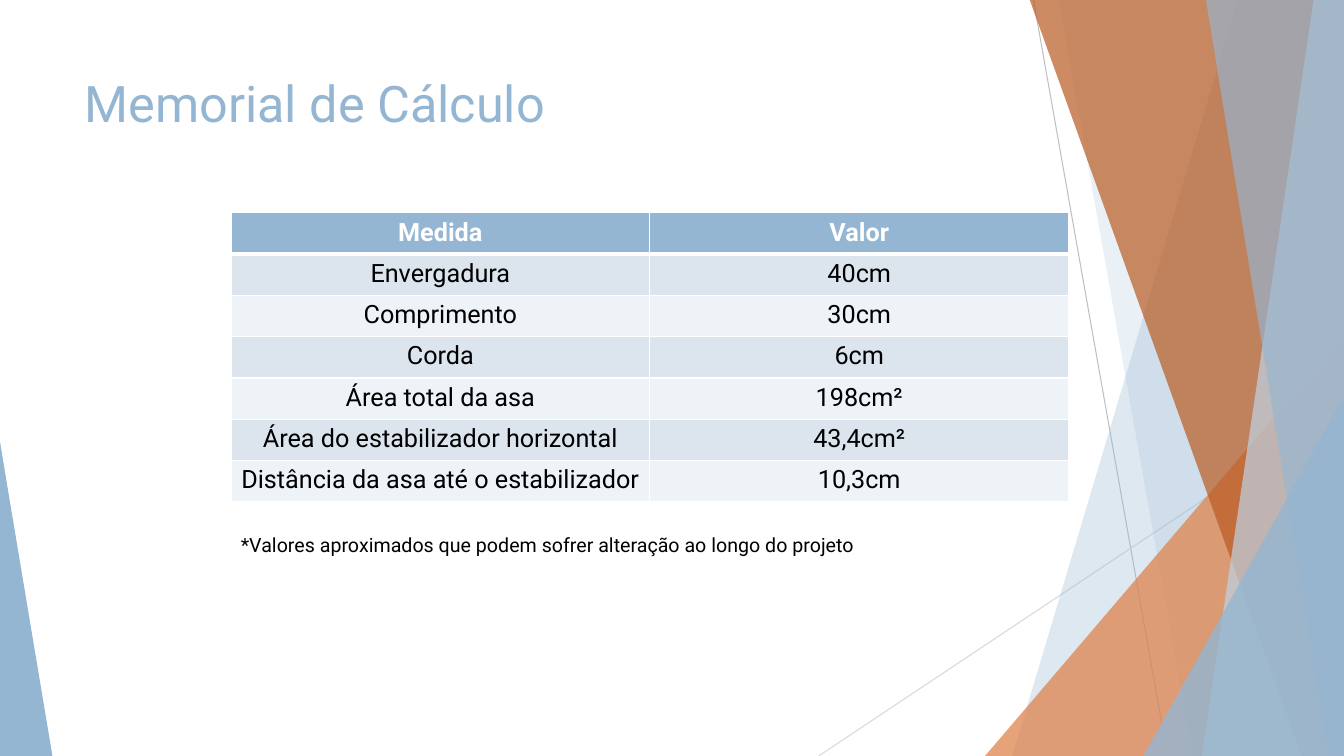
from dataclasses import dataclass

from lxml import etree
from pptx import Presentation
from pptx import util as u
from pptx.dml.color import RGBColor
from pptx.enum import shapes, text
from pptx.oxml import ns


@dataclass(frozen=True)
class Theme:
    font: str = "Roboto"
    blue: str = "94B6D2"
    pale_blue: str = "BFD3E4"
    orange: str = "DD8047"
    rust: str = "B95B22"
    row_dark: str = "DCE5EE"
    row_light: str = "EEF3F7"
    white: str = "FFFFFF"
    black: str = "000000"
    line_dark: str = "BFBFBF"
    line_light: str = "D9D9D9"
    title_size: int = 36
    table_size: int = 18
    note_size: int = 14


THEME = Theme()
WIDTH, HEIGHT = 13.33, 7.5
BAND_TOP = -0.01

MEASURES = [
    ("Medida", "Valor"),
    ("Envergadura", "40cm"),
    ("Comprimento", "30cm"),
    ("Corda", "6cm"),
    ("Área total da asa", "198cm²"),
    ("Área do estabilizador horizontal", "43,4cm²"),
    ("Distância da asa até o estabilizador", "10,3cm"),
]


def rgb(color):
    return RGBColor.from_string(color)


def add_span(para, words, size, color, bold=False):
    span = para.add_run()
    span.text = words
    span.font.name = THEME.font
    span.font.size = u.Pt(size)
    span.font.bold = bold
    span.font.color.rgb = rgb(color)


def paint(shape, color, opacity):
    """Flat fill with the given opacity in percent, no outline or shadow."""
    shape.shadow.inherit = False
    shape.line.fill.background()
    shape.fill.solid()
    shape.fill.fore_color.rgb = rgb(color)
    if opacity < 100:
        solid = shape.fill._xPr.find(ns.qn("a:solidFill"))
        alpha = etree.SubElement(solid[0], ns.qn("a:alpha"))
        alpha.set("val", str(opacity * 1000))


def add_thin_line(page, start, end, color):
    points = [u.Inches(value) for value in (*start, *end)]
    line = page.shapes.add_connector(shapes.MSO_CONNECTOR.STRAIGHT, *points)
    line.line.color.rgb = rgb(color)
    line.line.width = u.Pt(0.75)
    etree.SubElement(line._element.spPr, ns.qn("a:effectLst"))


def add_band(page, top_x, bottom_x, color, opacity):
    """Slanted left side; the rest runs to the right edge of the page."""
    corners = [(WIDTH, BAND_TOP), (WIDTH, HEIGHT), (bottom_x, HEIGHT)]
    outline = page.shapes.build_freeform(u.Inches(top_x), u.Inches(BAND_TOP))
    outline.add_line_segments([(u.Inches(x), u.Inches(y)) for x, y in corners])
    paint(outline.convert_to_shape(), color, opacity)


def add_corner(page, width, height, on_right, color, opacity):
    """Right triangle standing in a bottom corner of the page."""
    left = WIDTH - width if on_right else 0
    corner = page.shapes.add_shape(
        shapes.MSO_SHAPE.ISOSCELES_TRIANGLE, u.Inches(left),
        u.Inches(HEIGHT - height), u.Inches(width), u.Inches(height))
    corner.adjustments[0] = 1 if on_right else 0
    paint(corner, color, opacity)


def add_backdrop(page):
    add_thin_line(page, (10.25, 0), (11.58, HEIGHT), THEME.line_dark)
    add_thin_line(page, (WIDTH, 4.03), (8.12, HEIGHT), THEME.line_light)
    add_band(page, 12.28, 10.04, THEME.blue, 30)
    add_band(page, 10.5, 11.83, THEME.blue, 20)
    add_corner(page, 3.56, 4.17, True, THEME.orange, 72)
    add_band(page, 10.21, 12.91, THEME.rust, 70)
    add_band(page, 13.03, 11.92, THEME.pale_blue, 70)
    add_band(page, 11.96, 13.18, THEME.blue, 65)
    add_corner(page, 1.99, 3.57, True, THEME.blue, 80)
    add_corner(page, 0.49, 3.11, False, THEME.blue, 85)
    add_corner(page, 0.52, 3.11, False, THEME.blue, 100)


def set_title(page, words):
    title = page.shapes.title
    title.left, title.top = u.Inches(0.74), u.Inches(0.67)
    title.width, title.height = u.Inches(5.71), u.Inches(1.44)
    frame = title.text_frame
    frame.vertical_anchor = text.MSO_ANCHOR.TOP
    para = frame.paragraphs[0]
    para.alignment = text.PP_ALIGN.LEFT
    add_span(para, words, THEME.title_size, THEME.blue)


def set_borders(cell, widths):
    props = cell._tc.get_or_add_tcPr()
    for side, width in widths.items():
        edge = etree.SubElement(props, ns.qn(f"a:ln{side}"), w=str(u.Pt(width)))
        solid = etree.SubElement(edge, ns.qn("a:solidFill"))
        etree.SubElement(solid, ns.qn("a:srgbClr"), val=THEME.white)


def add_measure_table(page, rows):
    row_height = u.Inches(0.41)
    frame = page.shapes.add_table(
        len(rows), len(rows[0]), u.Inches(2.29), u.Inches(2.11),
        u.Inches(8.31), row_height * len(rows))
    table = frame.table
    for i, row in enumerate(rows):
        table.rows[i].height = row_height
        header = i == 0
        fill = THEME.blue if header else (THEME.row_light, THEME.row_dark)[i % 2]
        color = THEME.white if header else THEME.black
        # The rule under the header is thicker than the others
        widths = {"L": 1, "R": 1, "T": 3 if i == 1 else 1, "B": 3 if header else 1}
        for j, words in enumerate(row):
            cell = table.cell(i, j)
            set_borders(cell, widths)
            cell.fill.solid()
            cell.fill.fore_color.rgb = rgb(fill)
            para = cell.text_frame.paragraphs[0]
            para.alignment = text.PP_ALIGN.CENTER
            add_span(para, words, THEME.table_size, color, header)


def add_note(page, words):
    box = page.shapes.add_textbox(
        u.Inches(2.29), u.Inches(5.24), u.Inches(6.36), u.Inches(0.34))
    box.text_frame.word_wrap = False
    box.text_frame.auto_size = text.MSO_AUTO_SIZE.SHAPE_TO_FIT_TEXT
    add_span(box.text_frame.paragraphs[0], words, THEME.note_size, THEME.black)


def main():
    deck = Presentation()
    deck.slide_width, deck.slide_height = u.Inches(WIDTH), u.Inches(HEIGHT)
    page = deck.slides.add_slide(deck.slide_layouts.get_by_name("Title Only"))

    # Coloured facets behind the content
    add_backdrop(page)

    # Heading, table and footnote
    set_title(page, "Memorial de Cálculo")
    add_measure_table(page, MEASURES)
    add_note(page, "*Valores aproximados que podem sofrer alteração ao longo do projeto")

    deck.save("out.pptx")


if __name__ == "__main__":
    main()
